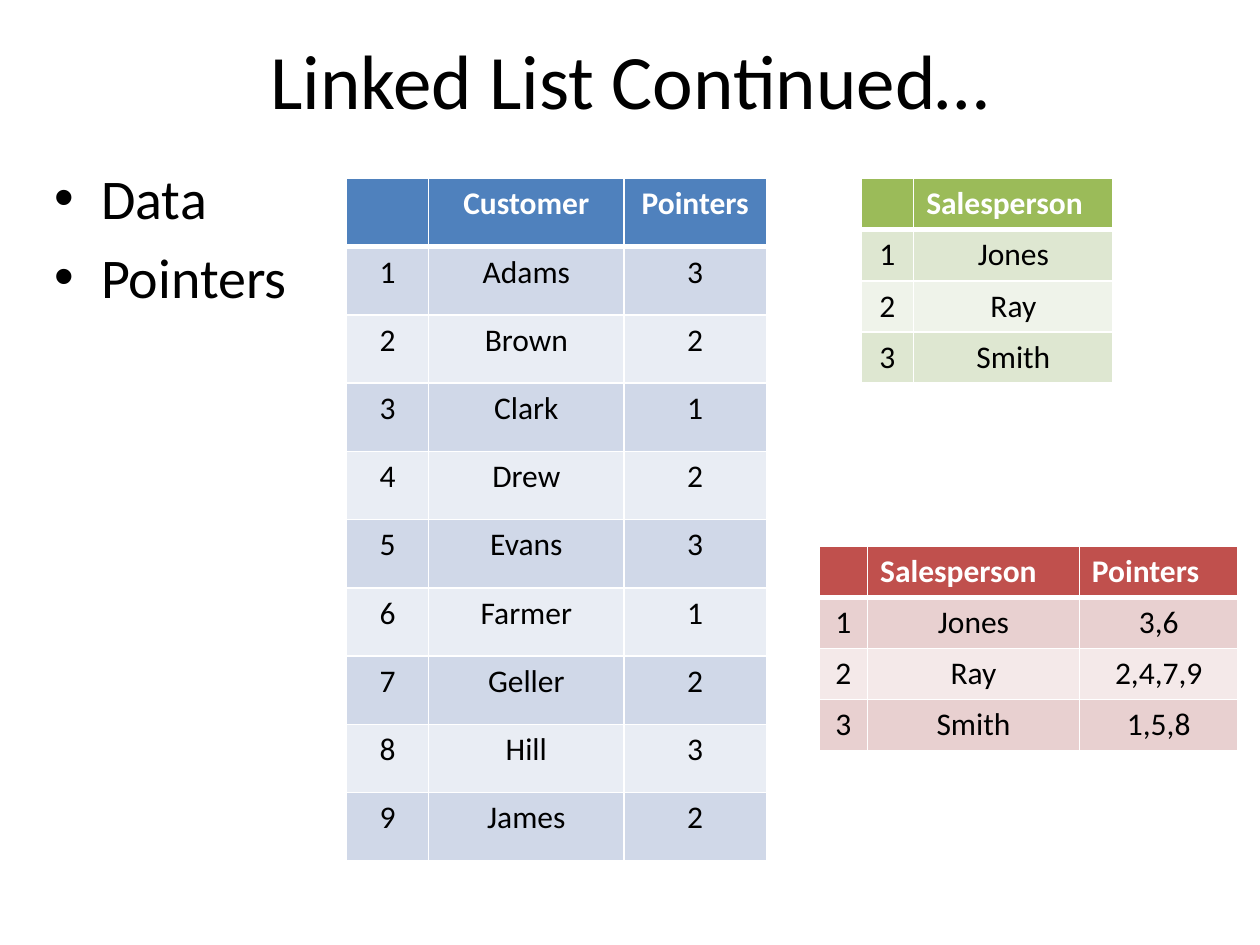
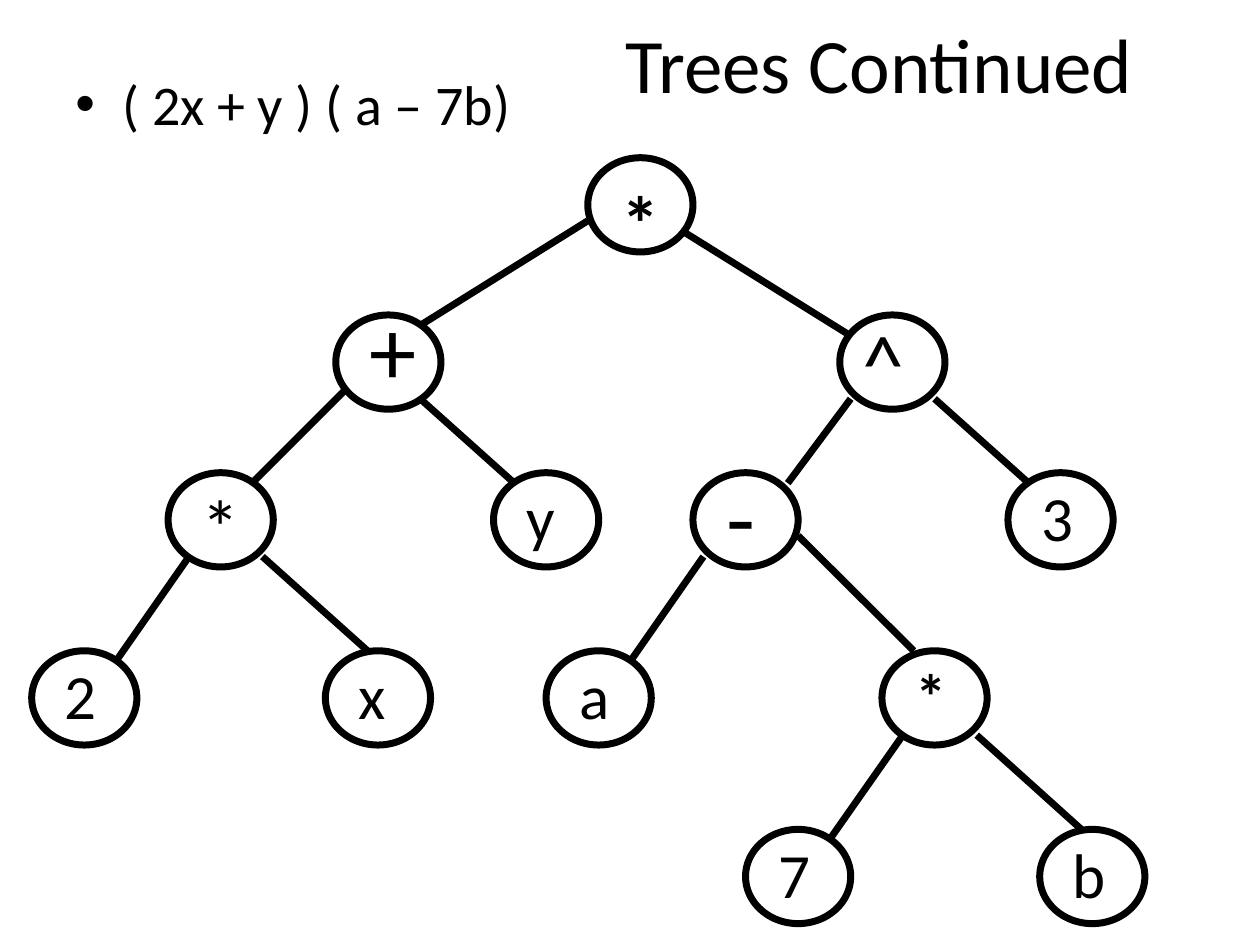
from dataclasses import dataclass
from lxml.etree import SubElement
from pptx import Presentation
from pptx.dml.color import RGBColor
from pptx.enum.shapes import MSO_CONNECTOR, MSO_SHAPE
from pptx.enum.text import MSO_ANCHOR, PP_ALIGN
from pptx.oxml.ns import qn
from pptx.util import Cm, Pt


@dataclass(frozen=True)
class Theme:
    font: str = "Calibri"
    ink: str = "000000"
    paper: str = "FFFFFF"
    blue: tuple = ("4F81BD", "D0D8E8", "E9EDF4")
    green: tuple = ("9BBB59", "DEE7D1", "EFF3EA")
    red: tuple = ("C0504D", "E8D0D0", "F4E9E9")
    title: int = 44
    body: int = 32
    cell: int = 18
    leaf: int = 36
    star: int = 44
    caret: int = 48
    sign: int = 54
    line: int = 4
    rule: int = 1
    heavy: int = 3


theme = Theme()


def write(frame, lines, size, color=theme.ink, bold=False, align=PP_ALIGN.LEFT,
          indent=0, bullet=False, wrap=True):
    frame.word_wrap = wrap
    for n, line in enumerate(lines):
        para = frame.paragraphs[0] if n == 0 else frame.add_paragraph()
        para.alignment = align
        props = para._p.get_or_add_pPr()
        props.set("marL", str(Cm(indent)))
        if bullet:
            props.set("indent", str(-Cm(indent)))
            para.space_before = Pt(size * 0.2)
            SubElement(props, qn("a:buFont"), typeface="Arial")
            SubElement(props, qn("a:buChar"), char="•")
        if line:
            run = para.add_run()
            run.text = line
            run.font.name = theme.font
            run.font.size = Pt(size)
            run.font.bold = bold
            run.font.color.rgb = RGBColor.from_string(color)


class Deck:
    def __init__(self, theme):
        self.theme = theme
        self.file = Presentation()
        self.file.slide_width, self.file.slide_height = Cm(25.4), Cm(19.05)
        self.slide = None

    def page(self):
        self.slide = self.file.slides.add_slide(self.file.slide_layouts[6])
        fill = self.slide.background.fill
        fill.solid()
        fill.fore_color.rgb = RGBColor.from_string(self.theme.paper)

    def box(self, x, y, w, h):
        area = map(Cm, (x, y, w, h))
        return self.slide.shapes.add_textbox(*area).text_frame

    def title(self, text, height, indent=0):
        frame = self.box(1.27, 0, 22.86, height)
        frame.vertical_anchor = MSO_ANCHOR.MIDDLE
        write(frame, [text], self.theme.title, align=PP_ALIGN.CENTER, indent=indent)

    def body(self, lines, x, y, w, h):
        write(self.box(x, y, w, h), lines, self.theme.body, indent=0.95, bullet=True)

    def stroke(self, line):
        line.color.rgb = RGBColor.from_string(self.theme.ink)
        line.width = Pt(self.theme.line)

    def node(self, text, x, y, width, size, dx=0.42, dy=0, bold=False):
        oval = self.slide.shapes.add_shape(
            MSO_SHAPE.OVAL, Cm(x), Cm(y), Cm(2.12), Cm(1.9))
        oval.shadow.inherit = False
        oval.fill.background()
        self.stroke(oval.line)
        frame = self.box(x + dx, y + dy, width, size * 0.043 + 0.25)
        write(frame, [text], size, bold=bold, wrap=False)

    def edge(self, *ends):
        link = self.slide.shapes.add_connector(MSO_CONNECTOR.STRAIGHT, *map(Cm, ends))
        self.stroke(link.line)
        SubElement(link._element.spPr, qn("a:effectLst"))

    def border(self, cell, row):
        props = cell._tc.get_or_add_tcPr()
        thick = {"T": row == 1, "B": row == 0}
        for side in "LRTB":
            width = self.theme.heavy if thick.get(side) else self.theme.rule
            line = SubElement(props, qn("a:ln" + side), w=str(Pt(width)))
            fill = SubElement(line, qn("a:solidFill"))
            SubElement(fill, qn("a:srgbClr"), val=self.theme.paper)

    def table(self, rows, x, y, widths, height, tones, lead=PP_ALIGN.LEFT):
        grid = self.slide.shapes.add_table(
            len(rows), len(widths), Cm(x), Cm(y),
            Cm(sum(widths)), Cm(height * len(rows))).table
        for col, width in zip(grid.columns, widths):
            col.width = Cm(width)
        for r, row in enumerate(rows):
            grid.rows[r].height = Cm(height)
            head = r == 0
            tone = tones[0] if head else tones[2 - r % 2]
            for c, text in enumerate(row):
                cell = grid.cell(r, c)
                self.border(cell, r)
                cell.fill.solid()
                cell.fill.fore_color.rgb = RGBColor.from_string(tone)
                write(cell.text_frame, [text], self.theme.cell, bold=head,
                      color=self.theme.paper if head else self.theme.ink,
                      align=lead if head else PP_ALIGN.CENTER)


def number(head, *rows):
    return [("", *head)] + [(str(n), *row) for n, row in enumerate(rows, 1)]


deck = Deck(theme)

deck.page()
deck.title("Linked List Continued…", 3.18)
deck.body(["Data", "Pointers"], 0.84, 3.18, 23.29, 13.84)
buyers = number(
    ("Customer", "Pointers"),
    ("Adams", "3"), ("Brown", "2"), ("Clark", "1"),
    ("Drew", "2"), ("Evans", "3"), ("Farmer", "1"),
    ("Geller", "2"), ("Hill", "3"), ("James", "2"))
deck.table(buyers, 6.99, 3.6, (1.65, 3.94, 2.87), 1.375, theme.blue, PP_ALIGN.CENTER)
staff = ("Jones", "Ray", "Smith")
deck.table(number(("Salesperson",), *zip(staff)),
           17.36, 3.6, (1.06, 4.02), 1.03, theme.green)
deck.table(number(("Salesperson", "Pointers"), *zip(staff, ("3,6", "2,4,7,9", "1,5,8"))),
           16.51, 11.01, (0.98, 4.27, 3.2), 1.03, theme.red)

deck.page()
deck.title("Trees Continued", 2.54, indent=10.06)
deck.body(["( 2x + y ) ( a – 7b)"], 1.27, 1.27, 22.86, 16.09)

tiers = (3.18, 6.35, 9.53, 13.12, 16.72)
deck.node("*", 11.85, tiers[0], 1.3, theme.star, dy=0.21, bold=True)
deck.node("+", 6.77, tiers[1], 1.47, theme.sign, dy=-0.61)
deck.node("^", 16.93, tiers[1], 1.37, theme.caret, dx=0.21, dy=-0.21)
deck.node("*", 3.39, tiers[2], 1.3, theme.star)
deck.node("-", 13.97, tiers[2], 1.09, theme.sign, dy=-0.42)
deck.node("*", 17.78, tiers[3], 1.14, theme.leaf, bold=True)
leaves = (
    ("y", 9.95, 2, 1.09), ("3", 20.32, 2, 1.17), ("2", 0.64, 3, 1.17),
    ("x", 6.56, 3, 1.07), ("a", 11.01, 3, 1.12), ("7", 15.03, 4, 1.17),
    ("b", 20.96, 4, 1.19))
for text, x, tier, width in leaves:
    deck.node(text, x, tiers[tier], width, theme.leaf)

edges = (
    (11.85, 4.45, 8.47, 6.56), (13.76, 4.66, 17.15, 6.77),
    (6.99, 7.83, 5.08, 9.74), (8.47, 8.04, 10.37, 9.74),
    (17.15, 8.04, 15.88, 9.74), (18.84, 8.04, 20.74, 9.74),
    (3.81, 11.22, 2.33, 13.34), (5.29, 11.22, 7.41, 13.12),
    (14.18, 11.22, 12.7, 13.34), (16.09, 10.8, 18.42, 13.12),
    (18.2, 14.82, 16.72, 16.93), (19.69, 14.82, 21.8, 16.72))
for ends in edges:
    deck.edge(*ends)

deck.file.save("out.pptx")
